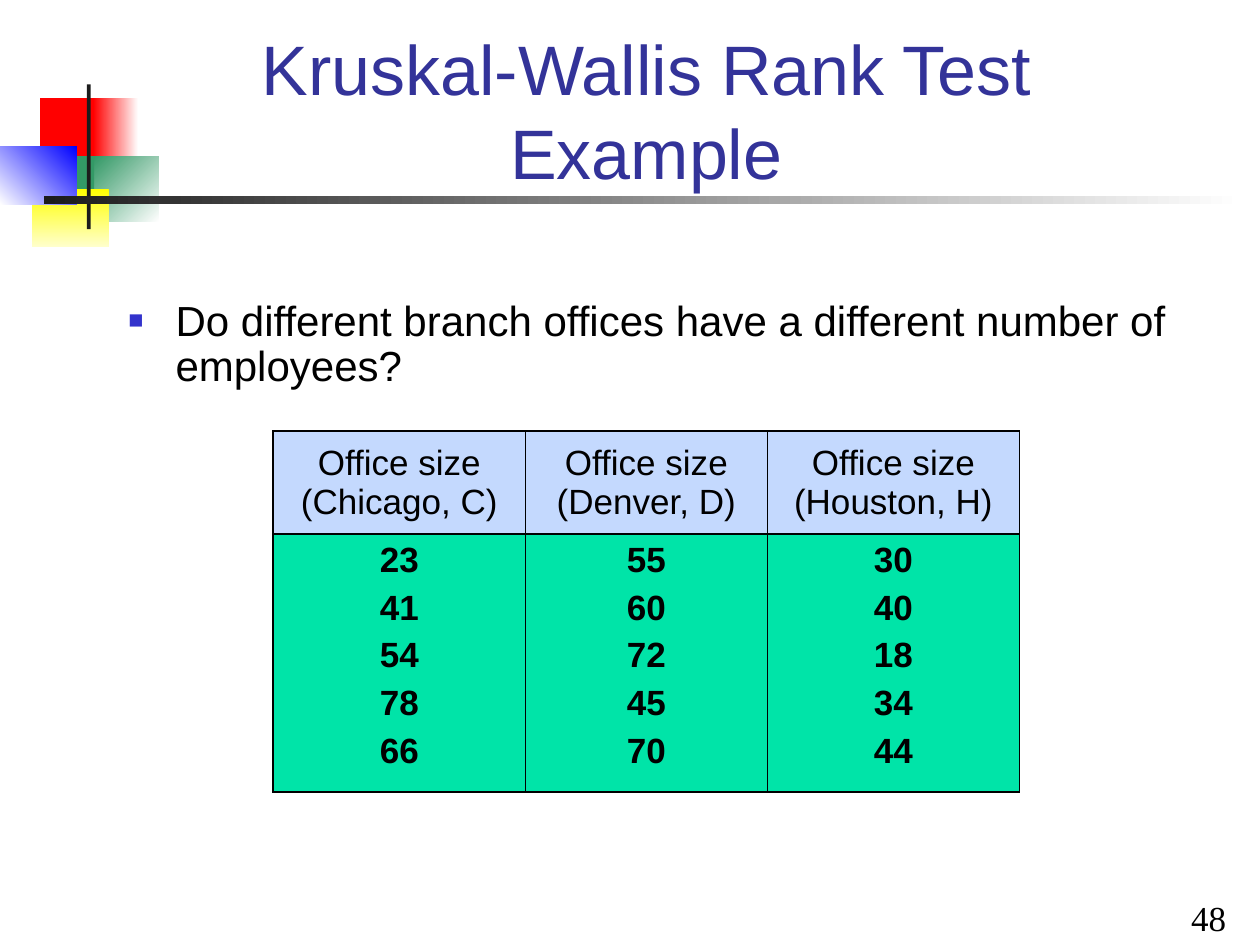
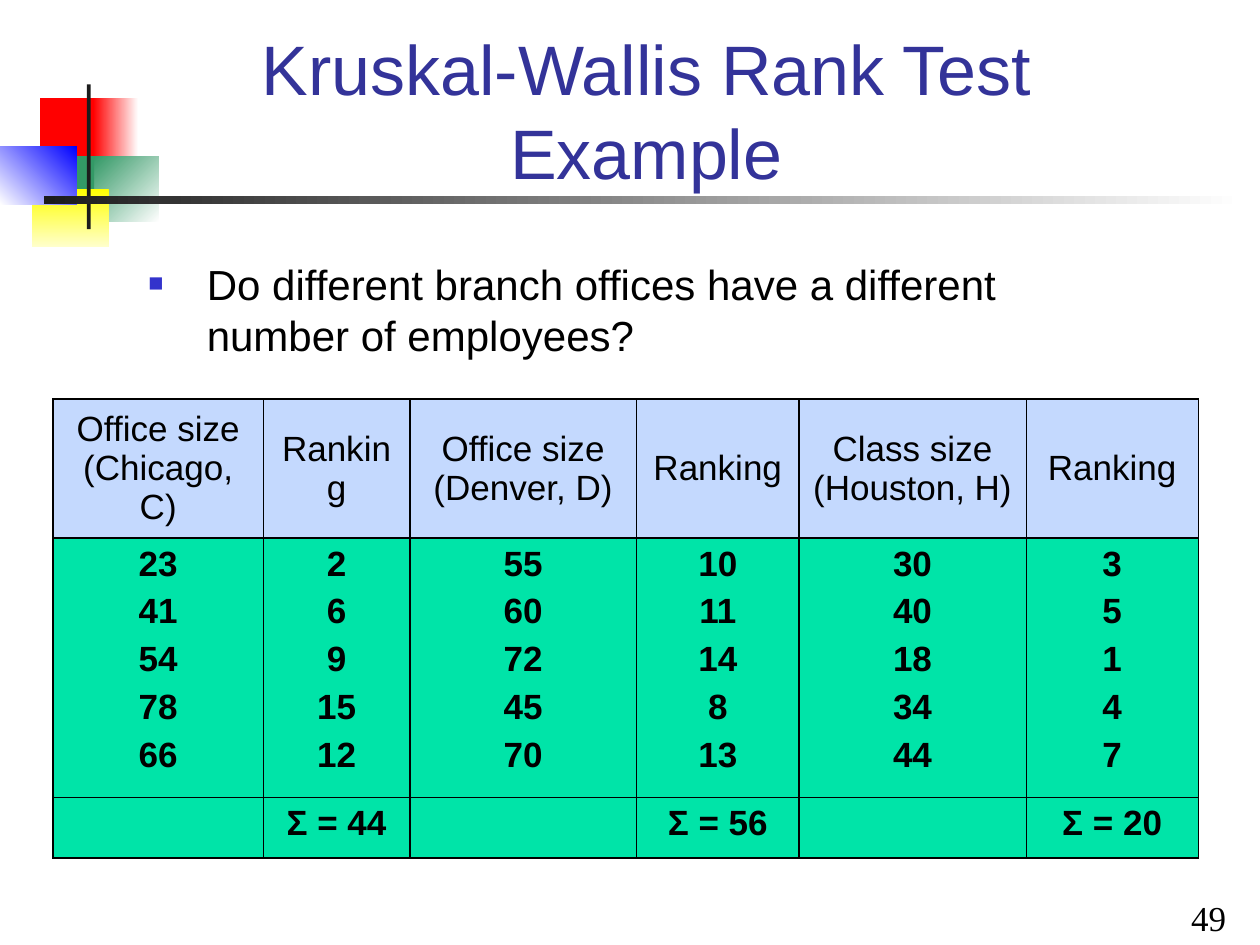
import pptx
import pptx.util
import pptx.dml.color
import pptx.enum.shapes
import pptx.enum.text
import pptx.oxml.ns
import lxml.etree

Cm, Pt = pptx.util.Cm, pptx.util.Pt
ALIGN = pptx.enum.text.PP_ALIGN
ANCHOR = pptx.enum.text.MSO_ANCHOR

COLORS = {
    "title": "333399", "text": "000000", "bullet": "3333CC",
    "header": "C4D9FE", "cell": "00E4A8", "border": "000000",
    "white": "FFFFFF", "dark": "1C1C1C", "red": "FF0000", "green": "339966",
    "yellow": "FFFF00", "cream": "FFFFCC", "blue": "0000FF",
}
THICK, THIN = 1.08, 0.45

# Corner ornament: left, top, width, height (cm), colours, clockwise angle
ORNAMENT = [
    (0.81, 1.98, 1.22, 1.32, ["red"], 0),
    (1.88, 1.98, 0.91, 1.32, ["white", "red"], 180),
    (1.9, 3.15, 1.3, 1.32, ["white", "green"], 225),
    (1.09, 3.15, 0.81, 1.32, ["green"], 0),
    (0.64, 3.81, 1.55, 1.17, ["yellow", "cream"], 90),
    (0, 2.95, 1.55, 1.17, ["blue", "white"], 135),
    (1.75, 1.7, 0.08, 2.92, ["dark"], 0),
    (0.89, 3.96, 24.16, 0.15, ["white", "dark"], 180),
]


def rgb(name):
    return pptx.dml.color.RGBColor.from_string(COLORS[name])


def sub(parent, tag, **attrs):
    """Append a DrawingML element with the given attributes."""
    el = lxml.etree.SubElement(parent, pptx.oxml.ns.qn("a:" + tag))
    for key, value in attrs.items():
        el.set(key, str(value))
    return el


class Deck:
    def __init__(self):
        self.prs = pptx.Presentation()
        self.prs.slide_width, self.prs.slide_height = Cm(25.4), Cm(19.05)
        self.s = None

    def new_slide(self, title, number):
        self.s = self.prs.slides.add_slide(self.prs.slide_layouts[6])
        self.ornament()
        self.title(title)
        self.page_number(number)

    def run(self, p, text, size, color="text", font="Arial", bold=False):
        r = p.add_run()
        r.text = text
        r.font.name, r.font.size, r.font.bold = font, Pt(size), bold
        r.font.color.rgb = rgb(color)

    def text_box(self, x, y, w, h, anchor=ANCHOR.TOP):
        sp = self.s.shapes.add_textbox(Cm(x), Cm(y), Cm(w), Cm(h))
        tf = sp.text_frame
        tf.word_wrap = True
        tf.vertical_anchor = anchor
        return tf

    def ornament(self):
        group = self.s.shapes.add_group_shape()
        for x, y, w, h, colors, angle in ORNAMENT:
            sp = group.shapes.add_shape(
                pptx.enum.shapes.MSO_SHAPE.RECTANGLE, Cm(x), Cm(y), Cm(w), Cm(h))
            sp.shadow.inherit = False
            sp.line.fill.background()
            if len(colors) == 1:
                sp.fill.solid()
                sp.fill.fore_color.rgb = rgb(colors[0])
            else:
                sp.fill.gradient()
                sp.fill.gradient_angle = 360 - angle
                for stop, color in zip(sp.fill.gradient_stops, colors):
                    stop.color.rgb = rgb(color)

    def title(self, lines):
        p = self.text_box(3.2, 0.64, 19.66, 3.38, ANCHOR.BOTTOM).paragraphs[0]
        p.alignment = ALIGN.CENTER
        for i, line in enumerate(lines):
            if i:
                p.add_line_break()
            self.run(p, line, 40, "title")

    def page_number(self, number):
        p = self.text_box(19.05, 18.16, 5.92, 0.89, ANCHOR.BOTTOM).paragraphs[0]
        p.alignment = ALIGN.RIGHT
        self.run(p, str(number), 20, font="Times New Roman")

    def question(self, x, y, w, h, lines, indent, spacing):
        """One bulleted question; later lines align under the first."""
        tf = self.text_box(x, y, w, h)
        for i, line in enumerate(lines):
            p = tf.add_paragraph() if i else tf.paragraphs[0]
            p.line_spacing, p.space_before = spacing, Pt(6)
            pPr = p._p.get_or_add_pPr()
            pPr.set("marL", str(Cm(indent)))
            pPr.set("indent", str(0 if i else -Cm(indent)))
            if i == 0:
                sub(sub(pPr, "buClr"), "srgbClr", val=COLORS["bullet"])
                sub(pPr, "buSzPct", val=60000)
                sub(pPr, "buFont", typeface="Arial")
                sub(pPr, "buChar", char="■")
            self.run(p, line, 24)

    def borders(self, cell, left, right):
        tcPr = cell._tc.get_or_add_tcPr()
        for tag, width in (("lnL", left), ("lnR", right),
                           ("lnT", THICK), ("lnB", THICK)):
            ln = sub(tcPr, tag, w=Pt(width))
            sub(sub(ln, "solidFill"), "srgbClr", val=COLORS["border"])

    def table(self, x, y, widths, heights, rows, rules):
        """Each cell is a list of paragraphs; rules are the vertical lines."""
        tbl = self.s.shapes.add_table(
            len(rows), len(widths), Cm(x), Cm(y),
            Cm(sum(widths)), Cm(sum(heights))).table
        tbl.first_row = tbl.horz_banding = False
        for col, width in zip(tbl.columns, widths):
            col.width = Cm(width)
        for i, row in enumerate(rows):
            tbl.rows[i].height = Cm(heights[i])
            for j, lines in enumerate(row):
                cell = tbl.cell(i, j)
                self.borders(cell, rules[j], rules[j + 1])
                cell.fill.solid()
                cell.fill.fore_color.rgb = rgb("cell" if i else "header")
                cell.vertical_anchor = ANCHOR.TOP if i else ANCHOR.MIDDLE
                tf = cell.text_frame
                for k, line in enumerate(lines):
                    p = tf.add_paragraph() if k else tf.paragraphs[0]
                    p.alignment, p.space_before = ALIGN.CENTER, Pt(5)
                    self.run(p, line, 20, bold=i > 0)


TITLE = ["Kruskal-Wallis Rank Test", "Example"]
QUESTION = ["Do different branch offices have a different", "number of employees?"]
CHICAGO, DENVER, HOUSTON = [
    text.split() for text in ("23 41 54 78 66", "55 60 72 45 70", "30 40 18 34 44")]
RANKS = [text.split() for text in ("2 6 9 15 12", "10 11 14 8 13", "3 5 1 4 7")]

deck = Deck()

# Slide 48: office sizes
deck.new_slide(TITLE, 48)
deck.question(2.34, 5.92, 22.23, 2.11, [" ".join(QUESTION)], 0.95, 0.9)
deck.table(
    5.51, 8.69, [5.08, 4.88, 5.08], [2.08, 5.2],
    [[["Office size (Chicago, C)"], ["Office size (Denver, D)"],
      ["Office size (Houston, H)"]],
     [CHICAGO, DENVER, HOUSTON]],
    [THICK, THIN, THIN, THICK])

# Slide 49: office sizes with ranks and rank sums
deck.new_slide(TITLE, 49)
deck.question(2.74, 5.28, 18.62, 2.18, QUESTION, 1.18, 0.8)
heads = ["Office size (Chicago, C)", "Office size (Denver, D)",
         "Class size (Houston, H)"]
header, body, sums = [], [], []
for head, sizes, ranks in zip(heads, (CHICAGO, DENVER, HOUSTON), RANKS):
    header += [[head], ["Ranking"]]
    body += [sizes, ranks]
    sums += [[], [f"Σ = {sum(map(int, ranks))}"]]
deck.table(
    1.07, 8.05, [4.24, 2.95, 4.57, 3.28, 4.57, 3.48], [2.79, 5.23, 1.22],
    [header, body, sums], [THICK, THIN] * 3 + [THICK])

deck.prs.save("out.pptx")
